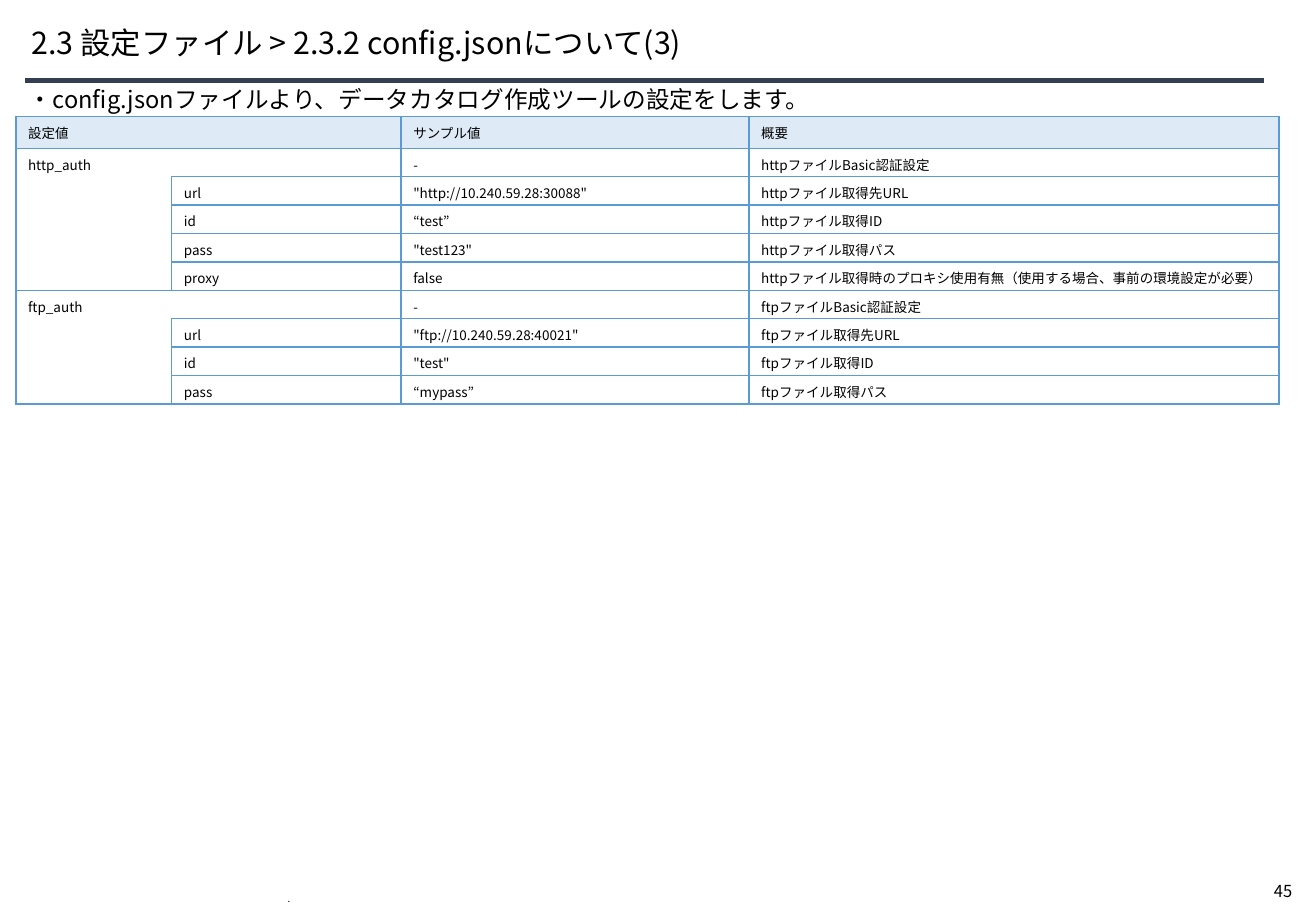
import pptx
import pptx.util
import pptx.dml.color
import pptx.enum.text
import pptx.enum.shapes
import pptx.oxml.ns
import lxml.etree

Pt = pptx.util.Pt
RGB = pptx.dml.color.RGBColor
Anchor = pptx.enum.text.MSO_ANCHOR
qn = pptx.oxml.ns.qn

BLACK = RGB(0x00, 0x00, 0x00)
NAVY = RGB(0x33, 0x3F, 0x50)
BLUE = RGB(0x5B, 0x9B, 0xD5)
PALE = RGB(0xDE, 0xEB, 0xF7)
FONT = "Noto Sans CJK JP"

COLS = [92.4, 136, 206.2, 314.1]
HEAD = 18.8
ROW = 16.85
ROWS = [
    ("設定値", "", "サンプル値", "概要"),
    ("http_auth", "", "-", "httpファイルBasic認証設定"),
    ("", "url", '"http://10.240.59.28:30088"', "httpファイル取得先URL"),
    ("", "id", "“test”", "httpファイル取得ID"),
    ("", "pass", '"test123"', "httpファイル取得パス"),
    ("", "proxy", "false",
     "httpファイル取得時のプロキシ使用有無（使用する場合、事前の環境設定が必要）"),
    ("ftp_auth", "", "-", "ftpファイルBasic認証設定"),
    ("", "url", '"ftp://10.240.59.28:40021"', "ftpファイル取得先URL"),
    ("", "id", '"test"', "ftpファイル取得ID"),
    ("", "pass", "“mypass”", "ftpファイル取得パス"),
]
MERGES = [((0, 0), (0, 1)), ((1, 0), (5, 0)), ((6, 0), (6, 1)), ((7, 0), (9, 0))]
# Cell sides that carry no line
OPEN = {(1, 0): "R", (1, 1): "L", (6, 0): "B", (7, 0): "T"}


def style(para, size):
    for run in para.runs:
        run.font.size = Pt(size)
        run.font.color.rgb = BLACK
        run.font.name = FONT
        east = lxml.etree.SubElement(run.font._element, qn("a:ea"))
        east.set("typeface", FONT)


def add_text(slide, box, text, size, wrap=True):
    shape = slide.shapes.add_textbox(*map(Pt, box))
    frame = shape.text_frame
    frame.word_wrap = wrap
    frame.text = text
    style(frame.paragraphs[0], size)
    return frame


def add_title(slide, box, text):
    title = slide.shapes.title
    title.left, title.top, title.width, title.height = map(Pt, box)
    frame = title.text_frame
    frame.text = text
    frame.auto_size = pptx.enum.text.MSO_AUTO_SIZE.NONE
    frame.vertical_anchor = Anchor.MIDDLE
    frame.margin_left = 0
    para = frame.paragraphs[0]
    para.alignment = pptx.enum.text.PP_ALIGN.LEFT
    para.line_spacing = 0.9
    style(para, 18)


def add_rule(slide, left, top, width):
    rule = slide.shapes.add_connector(
        pptx.enum.shapes.MSO_CONNECTOR.STRAIGHT,
        Pt(left), Pt(top), Pt(left + width), Pt(top))
    rule.line.color.rgb = NAVY
    rule.line.width = Pt(3)
    lxml.etree.SubElement(rule._element.spPr, qn("a:effectLst"))


def add_edges(cell, gaps):
    """Line the sides of a cell, except those named in gaps."""
    props = cell._tc.get_or_add_tcPr()
    for side in "LRTB":
        edge = lxml.etree.SubElement(props, qn("a:ln" + side), w=str(Pt(1)))
        if side in gaps:
            lxml.etree.SubElement(edge, qn("a:noFill"))
        else:
            fill = lxml.etree.SubElement(edge, qn("a:solidFill"))
            lxml.etree.SubElement(fill, qn("a:srgbClr"), val=str(BLUE))


def fill_cell(cell, text, head, gaps):
    add_edges(cell, gaps)
    if head:
        cell.fill.solid()
        cell.fill.fore_color.rgb = PALE
    else:
        cell.fill.background()
        cell.margin_bottom = Pt(1.6)
    para = cell.text_frame.paragraphs[0]
    if text:
        para.text = text
        style(para, 8)
    else:
        lxml.etree.SubElement(para._p, qn("a:endParaRPr"), sz="800")


def add_grid(slide, left, top):
    high = HEAD + ROW * (len(ROWS) - 1)
    frame = slide.shapes.add_table(
        len(ROWS), len(COLS), Pt(left), Pt(top), Pt(sum(COLS)), Pt(high))
    table = frame.table
    table.first_row = False
    table.horz_banding = False
    for col, width in zip(table.columns, COLS):
        col.width = Pt(width)
    for start, end in MERGES:
        table.cell(*start).merge(table.cell(*end))
    for r, texts in enumerate(ROWS):
        table.rows[r].height = Pt(ROW if r else HEAD)
        for c, text in enumerate(texts):
            fill_cell(table.cell(r, c), text, r == 0, OPEN.get((r, c), ""))


def add_foot(slide, left, top):
    """Place the small mark and the page number along the bottom edge."""
    mark = add_text(slide, (left, top + 11.5, 453.6, 10), ".", 5.7)
    mark.vertical_anchor = Anchor.BOTTOM
    mark.paragraphs[0].line_spacing = Pt(1.6)
    add_text(slide, (left + 584.6, top, 31, 19.4), "45", 9.8, wrap=False)


def main():
    deck = pptx.Presentation()
    deck.slide_width = Pt(780)
    deck.slide_height = Pt(540)
    slide = deck.slides.add_slide(deck.slide_layouts[5])
    add_title(slide, (18.7, 9.4, 714.2, 33.8),
              "2.3 設定ファイル > 2.3.2 config.jsonについて(3)")
    add_rule(slide, 15.1, 47.5, 734.4)
    add_text(slide, (10.1, 46.8, 686.2, 24.5),
             "・config.jsonファイルより、データカタログ作成ツールの設定をします。", 14)
    add_grid(slide, 9.4, 69.1)
    add_foot(slide, 163.4, 518.4)
    deck.save("out.pptx")


if __name__ == "__main__":
    main()
